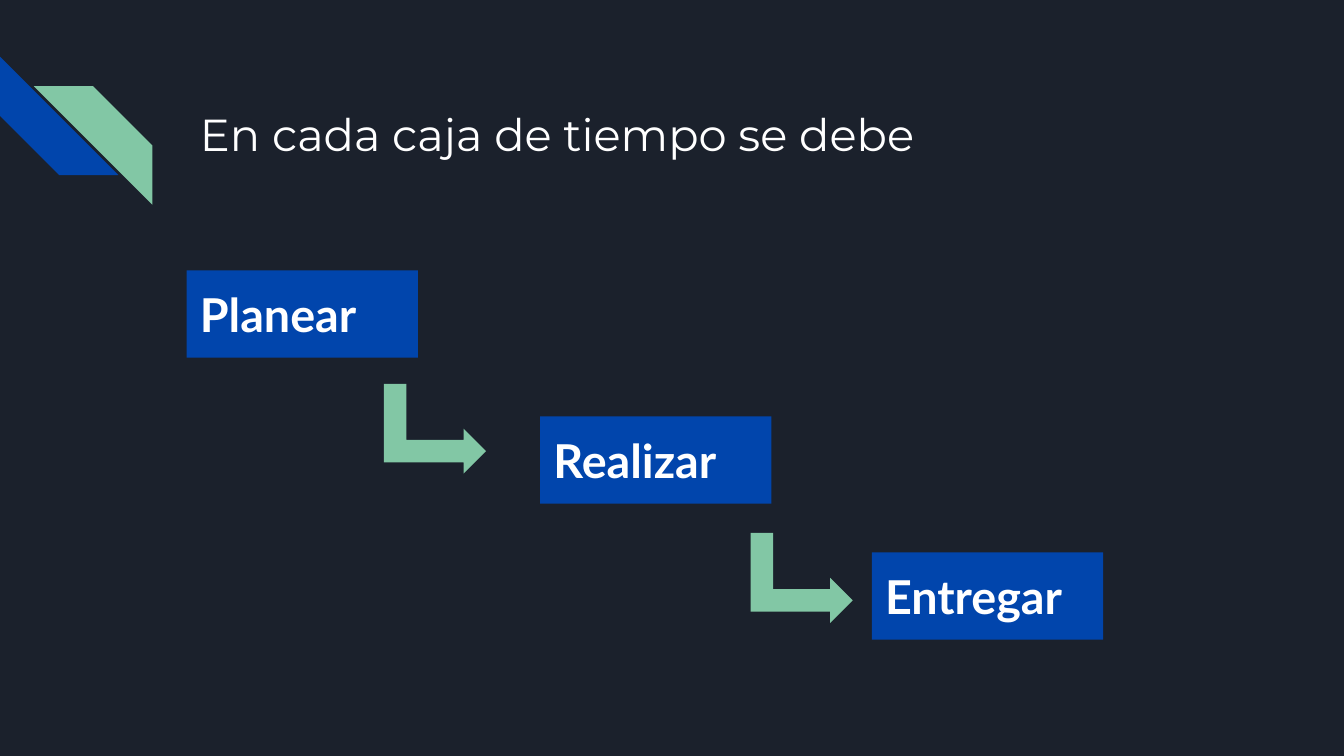
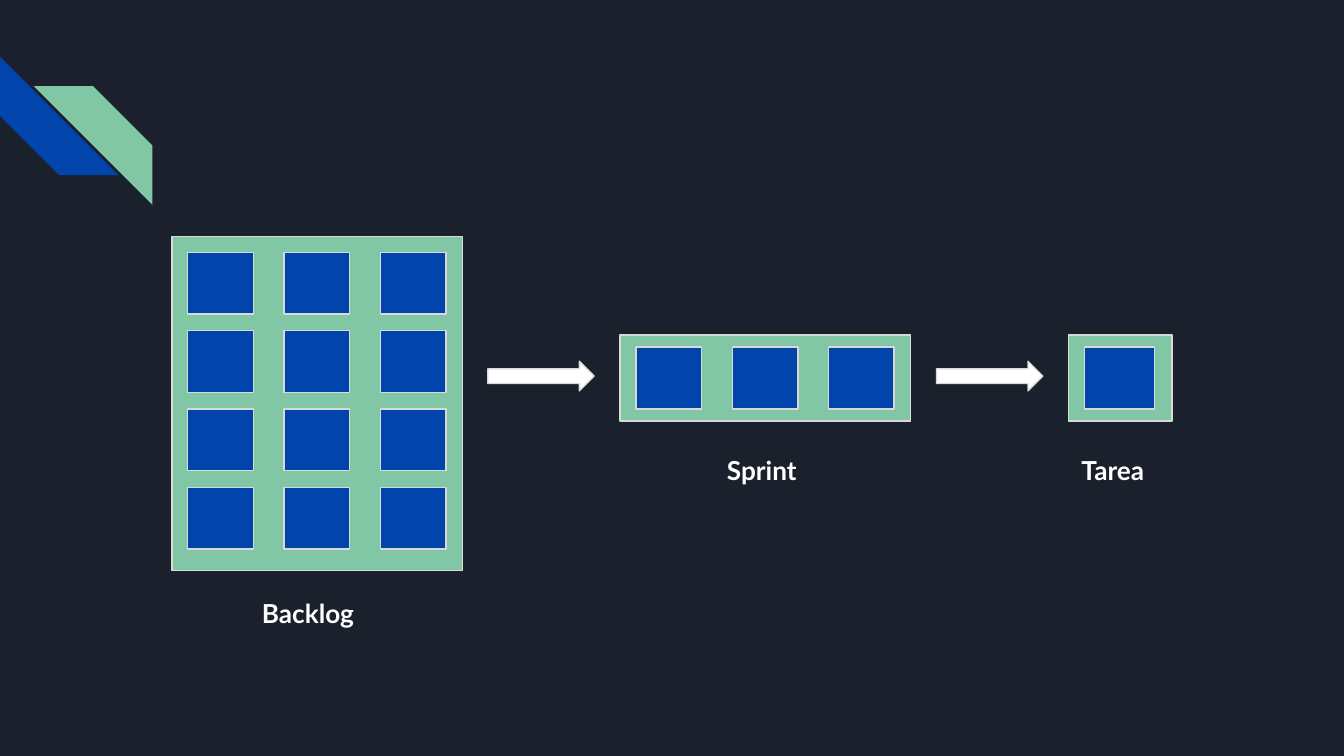
"""Build two slides on time boxes: the step staircase and the backlog breakdown."""
from dataclasses import dataclass
from typing import Any, Optional

import pptx
import pptx.dml.color
import pptx.enum.shapes
import pptx.enum.text
import pptx.util

Cm = pptx.util.Cm
Kind = pptx.enum.shapes.MSO_SHAPE
RGBColor = pptx.dml.color.RGBColor

NIGHT = RGBColor(0x1B, 0x21, 0x2C)
BLUE = RGBColor(0x01, 0x45, 0xAC)
GREEN = RGBColor(0x82, 0xC7, 0xA5)
WHITE = RGBColor(0xFF, 0xFF, 0xFF)
GREY = RGBColor(0xD9, 0xD9, 0xD9)

TITLE_FONT = "Montserrat"
BODY_FONT = "Lato"
INSET = Cm(0.25)


@dataclass(frozen=True)
class Area:
    """A rectangle on the slide, in centimetres."""
    left: float
    top: float
    width: float
    height: float

    def lengths(self) -> tuple:
        """Return the four sides as slide lengths."""
        return Cm(self.left), Cm(self.top), Cm(self.width), Cm(self.height)


@dataclass(frozen=True)
class Step:
    """A named stage of the staircase."""
    name: str
    left: float
    top: float


@dataclass(frozen=True)
class Panel:
    """A captioned frame holding a grid of task cells."""
    name: str
    frame: Area
    rows: int
    columns: int
    first_cell: Area
    caption: Area


STRIPE_SIZE = 2.24
STEP_WIDTH, STEP_HEIGHT = 4.37, 1.65
COLUMN_PITCH, ROW_PITCH = 1.82, 1.48

STEPS = (
    Step("Planear", 3.53, 5.11),
    Step("Realizar", 10.21, 7.87),
    Step("Entregar", 16.48, 10.44),
)
BENT_ARROWS = (Area(7.37, 7.14, 1.7, 1.93), Area(14.3, 9.96, 1.7, 1.93))

PANELS = (
    Panel("Backlog", Area(3.25, 4.47, 5.49, 6.32), 4, 3,
          Area(3.55, 4.77, 1.24, 1.17), Area(4.7, 11.05, 2.26, 0.94)),
    Panel("Sprint", Area(11.72, 6.33, 5.49, 1.63), 1, 3,
          Area(12.02, 6.56, 1.24, 1.17), Area(13.49, 8.33, 1.96, 0.94)),
    Panel("Tarea", Area(20.19, 6.33, 1.96, 1.63), 1, 1,
          Area(20.5, 6.56, 1.32, 1.17), Area(20.19, 8.33, 1.96, 0.94)),
)
STRAIGHT_ARROWS = (Area(9.22, 6.83, 2.01, 0.56), Area(17.7, 6.83, 2.01, 0.56))


def add_figure(shapes: Any, kind: Any, area: Area, fill: RGBColor,
               outline: Optional[RGBColor] = None, rotation: int = 0) -> Any:
    """Add a flat preset shape."""
    figure = shapes.add_shape(kind, *area.lengths())
    figure.shadow.inherit = False
    figure.rotation = rotation
    figure.fill.solid()
    figure.fill.fore_color.rgb = fill
    if outline is None:
        figure.line.fill.background()
    else:
        figure.line.color.rgb = outline
        figure.line.width = pptx.util.Pt(0.75)
    return figure


def write(box: Any, text: str, font_name: str, size: int, bold: bool,
          middle: bool = True, wrap: bool = True) -> None:
    """Write one white, left-aligned paragraph into a box."""
    frame = box.text_frame
    frame.word_wrap = wrap
    frame.margin_left = frame.margin_right = INSET
    frame.margin_top = frame.margin_bottom = INSET
    anchors = pptx.enum.text.MSO_ANCHOR
    frame.vertical_anchor = anchors.MIDDLE if middle else anchors.TOP
    para = frame.paragraphs[0]
    para.text = text
    para.alignment = pptx.enum.text.PP_ALIGN.LEFT
    para.font.name = font_name
    para.font.size = pptx.util.Pt(size)
    para.font.bold = bold
    para.font.color.rgb = WHITE


def add_page(deck: Any) -> Any:
    """Add a blank page with the two corner stripes."""
    page = deck.slides.add_slide(deck.slide_layouts[6])
    stripes = page.shapes.add_group_shape().shapes
    add_figure(stripes, Kind.DIAGONAL_STRIPE,
               Area(0, 1.07, STRIPE_SIZE, STRIPE_SIZE), BLUE, rotation=270)
    add_figure(stripes, Kind.DIAGONAL_STRIPE,
               Area(0.64, 1.63, STRIPE_SIZE, STRIPE_SIZE), GREEN, rotation=90)
    return page


def add_panel(page: Any, panel: Panel) -> None:
    """Add a frame, its grid of cells and its caption as one group."""
    shapes = page.shapes.add_group_shape().shapes
    add_figure(shapes, Kind.RECTANGLE, panel.frame, GREEN, GREY)
    first = panel.first_cell
    for row in range(panel.rows):
        for column in range(panel.columns):
            cell = Area(first.left + column * COLUMN_PITCH,
                        first.top + row * ROW_PITCH, first.width, first.height)
            add_figure(shapes, Kind.RECTANGLE, cell, BLUE, GREY)
    caption = shapes.add_textbox(*panel.caption.lengths())
    write(caption, panel.name, BODY_FONT, 14, True, middle=False, wrap=False)


def build_steps(deck: Any) -> None:
    """Build the staircase of steps."""
    page = add_page(deck)
    title = page.shapes.add_textbox(*Area(3.53, 1.7, 14.27, 1.65).lengths())
    write(title, "En cada caja de tiempo se debe", TITLE_FONT, 24, False)
    for step in STEPS:
        area = Area(step.left, step.top, STEP_WIDTH, STEP_HEIGHT)
        box = add_figure(page.shapes, Kind.RECTANGLE, area, BLUE)
        write(box, step.name, BODY_FONT, 25, True)
    for area in BENT_ARROWS:
        add_figure(page.shapes, Kind.BENT_UP_ARROW, area, GREEN, rotation=90)


def build_breakdown(deck: Any) -> None:
    """Build the path from backlog to sprint to task."""
    page = add_page(deck)
    for panel in PANELS:
        add_panel(page, panel)
    for area in STRAIGHT_ARROWS:
        add_figure(page.shapes, Kind.RIGHT_ARROW, area, WHITE, GREY)


def main() -> None:
    """Build and save the deck."""
    deck = pptx.Presentation()
    deck.slide_width, deck.slide_height = Cm(25.4), Cm(14.29)
    backdrop = deck.slide_master.background.fill
    backdrop.solid()
    backdrop.fore_color.rgb = NIGHT
    build_steps(deck)
    build_breakdown(deck)
    deck.save("out.pptx")


if __name__ == "__main__":
    main()
